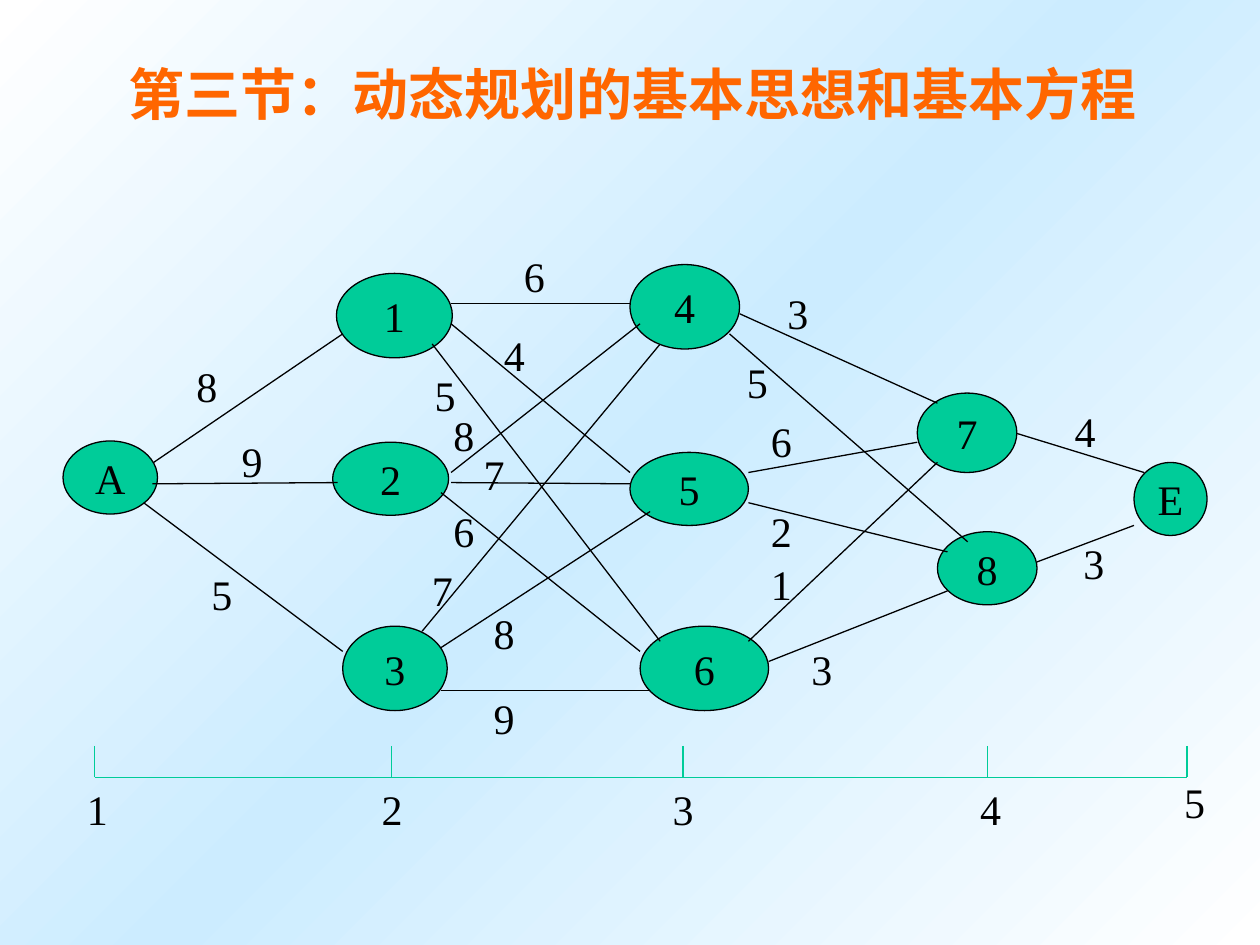
"""Build the slide of a staged shortest-path network for dynamic programming."""
from copy import deepcopy
from dataclasses import dataclass
from typing import NamedTuple

from pptx import Presentation
from pptx.dml.color import RGBColor
from pptx.enum.shapes import MSO_CONNECTOR, MSO_SHAPE
from pptx.enum.text import MSO_ANCHOR, MSO_AUTO_SIZE, PP_ALIGN
from pptx.oxml.ns import qn
from pptx.slide import Slide
from pptx.text.text import TextFrame
from pptx.util import Inches, Pt


@dataclass(frozen=True)
class Theme:
    ink: RGBColor = RGBColor(0x00, 0x00, 0x00)
    node: RGBColor = RGBColor(0x00, 0xCC, 0x99)
    title: RGBColor = RGBColor(0xFF, 0x66, 0x00)
    edge_bg: RGBColor = RGBColor(0xFF, 0xFF, 0xFF)
    mid_bg: RGBColor = RGBColor(0xCC, 0xEC, 0xFF)
    font: str = "Times New Roman"
    title_size: Pt = Pt(32)
    text_size: Pt = Pt(24)
    line: Pt = Pt(0.75)


class Node(NamedTuple):
    text: str
    x: float
    y: float
    w: float
    h: float


class Edge(NamedTuple):
    x1: float
    y1: float
    x2: float
    y2: float


class Label(NamedTuple):
    text: str
    x: float
    y: float
    w: float = 0.58


THEME = Theme()
LABEL_H = 0.5
AXIS_Y, TICK_TOP = 6.17, 5.92
TICKS = [0.75, 3.11, 5.42, 7.84, 9.42]

NODES = [
    Node("A", 0.5, 3.5, 0.75, 0.58),
    Node("1", 2.67, 2.17, 0.92, 0.67),
    Node("2", 2.64, 3.51, 0.92, 0.58),
    Node("3", 2.72, 4.97, 0.83, 0.67),
    Node("4", 5, 2.1, 0.87, 0.67),
    Node("5", 5, 3.59, 0.94, 0.58),
    Node("6", 5.08, 4.97, 1.02, 0.67),
    Node("7", 7.28, 3.12, 0.79, 0.63),
    Node("8", 7.44, 4.22, 0.79, 0.58),
    Node("E", 9, 3.67, 0.58, 0.58),
]

EDGES = [
    Edge(1.22, 3.67, 2.72, 2.65),
    Edge(1.21, 3.84, 2.68, 3.83),
    Edge(1.14, 3.99, 2.72, 5.17),
    Edge(3.58, 2.41, 5, 2.41),
    Edge(3.58, 2.57, 5, 3.75),
    Edge(3.43, 2.73, 5.24, 5.09),
    Edge(3.58, 3.75, 5.08, 2.57),
    Edge(3.58, 3.83, 5, 3.84),
    Edge(3.5, 3.91, 5.08, 5.17),
    Edge(3.35, 5.01, 5.24, 2.73),
    Edge(3.5, 5.14, 5.16, 4.06),
    Edge(3.5, 5.48, 5.16, 5.48),
    Edge(5.87, 2.49, 7.44, 3.2),
    Edge(5.79, 2.65, 7.68, 4.3),
    Edge(5.94, 3.75, 7.28, 3.51),
    Edge(5.94, 3.99, 7.52, 4.38),
    Edge(5.94, 5.09, 7.44, 3.67),
    Edge(6.1, 5.25, 7.52, 4.69),
    Edge(8.07, 3.44, 9.08, 3.75),
    Edge(8.23, 4.46, 9, 4.17),
]

STAGES = [
    Label("1", 0.59, 6.17),
    Label("2", 2.93, 6.17, 0.5),
    Label("3", 5.24, 6.17, 0.42),
    Label("4", 7.68, 6.17, 0.83),
    Label("5", 9.3, 6.11),
]

WEIGHTS = [
    Label("8", 1.46, 2.81),
    Label("9", 1.82, 3.41),
    Label("5", 1.58, 4.46),
    Label("6", 4.06, 1.94),
    Label("4", 3.9, 2.57, 0.5),
    Label("5", 3.35, 2.88, 0.42),
    Label("8", 3.5, 3.2, 0.5),
    Label("7", 3.74, 3.51, 0.33),
    Label("6", 3.5, 3.96, 0.33),
    Label("7", 3.33, 4.43, 0.33),
    Label("8", 3.82, 4.77, 0.5),
    Label("9", 3.82, 5.45, 0.42),
    Label("3", 6.15, 2.23),
    Label("5", 5.83, 2.78),
    Label("6", 6.02, 3.25),
    Label("2", 6.02, 3.96),
    Label("1", 6.02, 4.38),
    Label("3", 6.34, 5.06),
    Label("4", 8.43, 3.17),
    Label("3", 8.5, 4.22, 0.33),
]


def write(tf: TextFrame, text: str, align: PP_ALIGN, size: Pt, color: RGBColor,
          bold: bool = False, **frame) -> None:
    for name, value in frame.items():
        setattr(tf, name, value)
    p = tf.paragraphs[0]
    p.alignment = align
    r = p.add_run()
    r.text = text
    for name, value in {"name": THEME.font, "size": size, "bold": bold}.items():
        setattr(r.font, name, value)
    r.font.color.rgb = color


def paint_background(s: Slide) -> None:
    fill = s.background.fill
    fill.gradient()
    fill.gradient_angle = 135
    stops = s.element.find(".//" + qn("a:gsLst"))
    stops.insert(1, deepcopy(stops[0]))
    colors = [THEME.edge_bg, THEME.mid_bg, THEME.edge_bg]
    for i, (stop, color) in enumerate(zip(fill.gradient_stops, colors)):
        stop.position = i / 2
        stop.color.rgb = color


def add_title(s: Slide, text: str) -> None:
    sp = s.shapes.title
    box = {"left": 0.92, "top": 0.42, "width": 8.33, "height": 0.64}
    for name, value in box.items():
        setattr(sp, name, Inches(value))
    write(sp.text_frame, text, PP_ALIGN.LEFT, THEME.title_size, THEME.title, bold=True,
          word_wrap=True, vertical_anchor=MSO_ANCHOR.TOP,
          auto_size=MSO_AUTO_SIZE.SHAPE_TO_FIT_TEXT)


def add_line(s: Slide, edge: Edge, color: RGBColor) -> None:
    ln = s.shapes.add_connector(MSO_CONNECTOR.STRAIGHT, *map(Inches, edge))
    ln.line.color.rgb = color
    ln.line.width = THEME.line
    ln.element.spPr.append(ln.element.makeelement(qn("a:effectLst"), {}))


def add_node(s: Slide, node: Node) -> None:
    sp = s.shapes.add_shape(MSO_SHAPE.OVAL, *map(Inches, node[1:]))
    sp.shadow.inherit = False
    sp.fill.solid()
    sp.fill.fore_color.rgb = THEME.node
    sp.line.color.rgb = THEME.ink
    sp.line.width = THEME.line
    write(sp.text_frame, node.text, PP_ALIGN.CENTER, THEME.text_size, THEME.ink,
          word_wrap=False, vertical_anchor=MSO_ANCHOR.MIDDLE)


def add_label(s: Slide, label: Label) -> None:
    sp = s.shapes.add_textbox(*map(Inches, (*label[1:], LABEL_H)))
    write(sp.text_frame, label.text, PP_ALIGN.LEFT, THEME.text_size, THEME.ink,
          word_wrap=True, auto_size=MSO_AUTO_SIZE.SHAPE_TO_FIT_TEXT)


def main() -> None:
    prs = Presentation()
    prs.slide_width, prs.slide_height = Inches(10), Inches(7.5)
    s = prs.slides.add_slide(prs.slide_layouts[5])
    paint_background(s)
    add_title(s, "第三节：动态规划的基本思想和基本方程")
    add_line(s, Edge(TICKS[0], AXIS_Y, TICKS[-1], AXIS_Y), THEME.node)
    for x in TICKS:
        add_line(s, Edge(x, TICK_TOP, x, AXIS_Y), THEME.node)
    for node in NODES:
        add_node(s, node)
    for edge in EDGES:
        add_line(s, edge, THEME.ink)
    for label in STAGES + WEIGHTS:
        add_label(s, label)
    prs.save("out.pptx")


if __name__ == "__main__":
    main()
